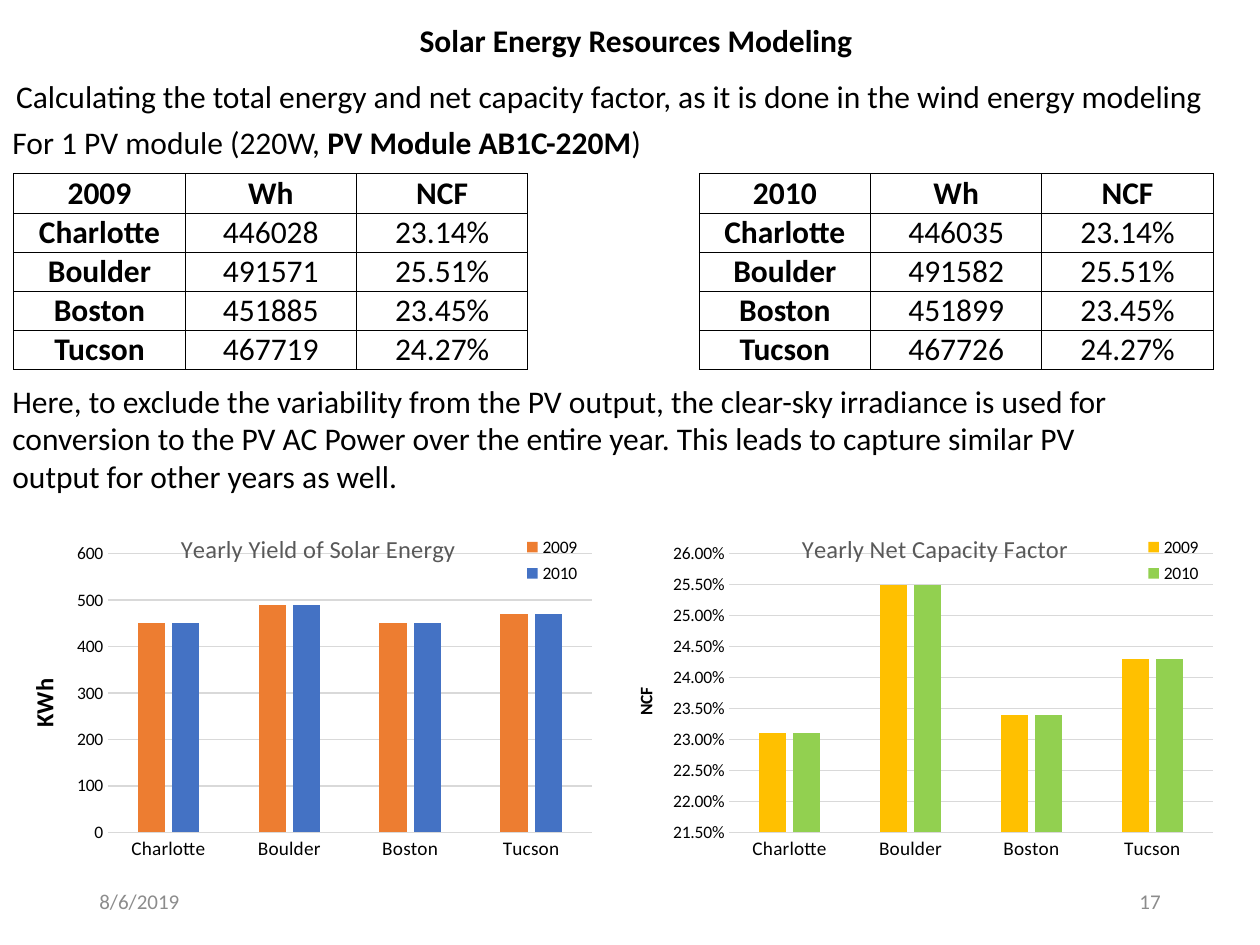
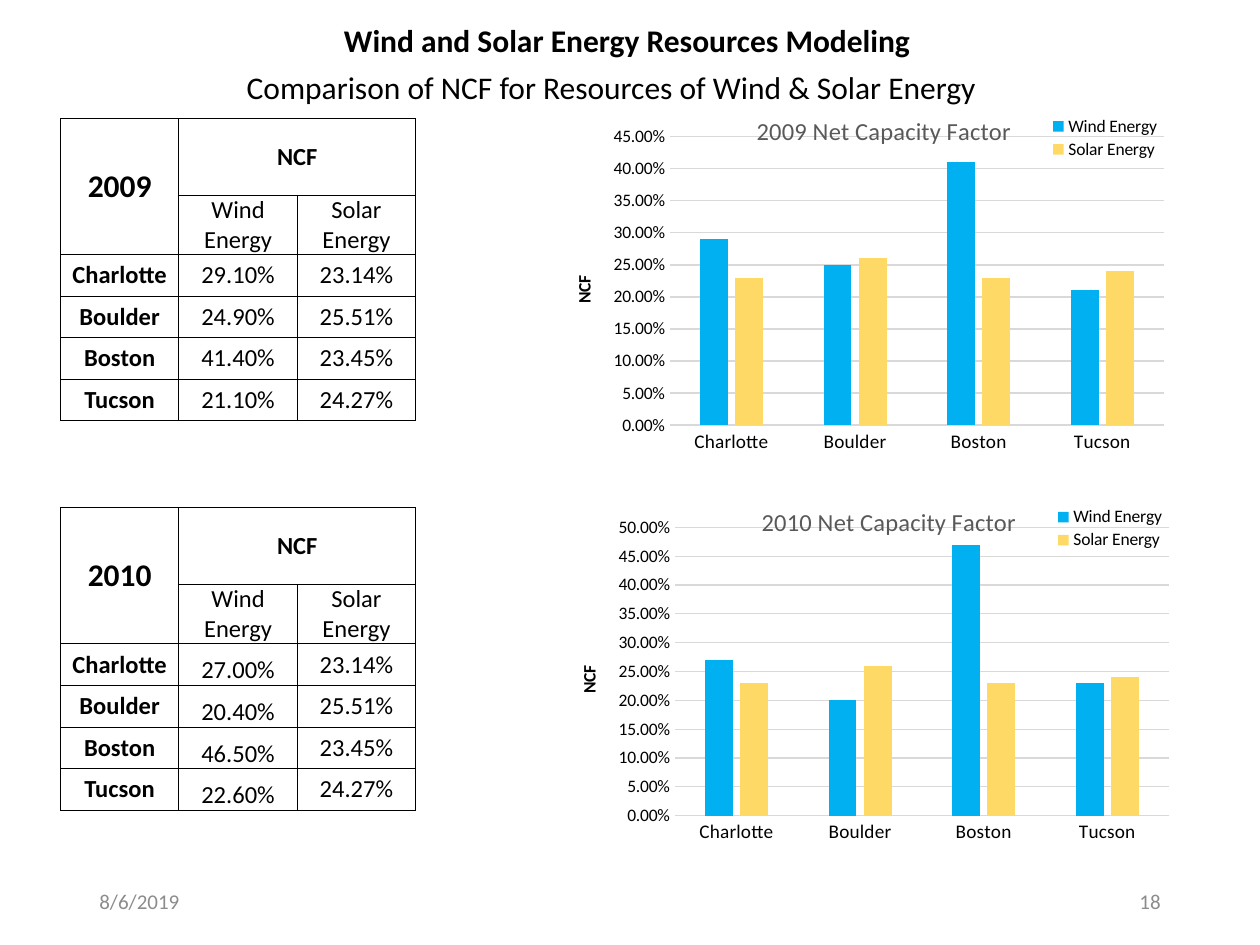
import pptx
import pptx.util
import pptx.chart.data
import pptx.dml.color
import pptx.enum.chart
import pptx.enum.text
import pptx.oxml

Inches = pptx.util.Inches
Pt = pptx.util.Pt
ALIGN = pptx.enum.text.PP_ALIGN
ANCHOR = pptx.enum.text.MSO_ANCHOR
NONE = pptx.enum.chart.XL_TICK_MARK.NONE
SPACE = pptx.oxml.ns.nsdecls("a", "c")
FONT = "Calibri"
HUES = {
    "text": "000000", "foot": "8C8C8C", "head": "595959", "grid": "D9D9D9",
    "orange": "ED7D31", "blue": "4472C4", "gold": "FFC000", "green": "92D050",
    "sky": "00B0F0", "sand": "FFD966",
}
RGB = {name: pptx.dml.color.RGBColor.from_string(code) for name, code in HUES.items()}


def write(frame, runs, size=18, hue="text", align=ALIGN.LEFT):
    para = frame.paragraphs[0]
    para.alignment = align
    for text, bold in runs:
        run = para.add_run()
        run.text = text
        run.font.name = FONT
        run.font.size = Pt(size)
        run.font.bold = bold
        run.font.color.rgb = RGB[hue]


def place(part, index, spots, inner=False):
    for old in part.findall(pptx.oxml.ns.qn("c:layout")):
        part.remove(old)
    target = '<c:layoutTarget val="inner"/>' if inner else ""
    modes = '<c:xMode val="edge"/><c:yMode val="edge"/>'
    sides = "".join(f'<c:{key} val="{val}"/>' for key, val in zip("xywh", spots))
    part.insert(index, pptx.oxml.parse_xml(
        f"<c:layout {SPACE}><c:manualLayout>{target}{modes}{sides}</c:manualLayout></c:layout>"))


cities = ["Charlotte", "Boulder", "Boston", "Tucson"]
energy = {"2009": [446028, 491571, 451885, 467719],
          "2010": [446035, 491582, 451899, 467726]}
solar = [0.2314, 0.2551, 0.2345, 0.2427]
wind = {"2009": [0.291, 0.249, 0.414, 0.211],
        "2010": [0.27, 0.204, 0.465, 0.226]}

yields = [["2009", "Wh", "NCF", "", "2010", "Wh", "NCF"]]
for city, old, new, share in zip(cities, energy["2009"], energy["2010"], solar):
    yields.append([city, str(old), f"{share:.2%}", "", city, str(new), f"{share:.2%}"])

grids = [dict(at=(0.11, 1.38), wide=1.36, rows=yields, highs=[0.31] * 5,
              size=18, gap=3, low=(2, 6))]
sheets = [
    dict(title=("Solar Energy Resources Modeling", 3.23, 3.66), page="17",
         notes=[
             (0.03, 0.56, 9.74, 0.4, False, [(
                 "Calculating the total energy and net capacity factor, "
                 "as it is done in the wind energy modeling", False)]),
             (0, 0.93, 5.42, 0.4, False, [
                 ("For 1 PV module (220W, ", False),
                 ("PV Module AB1C-220M", True), (")", False)]),
             (0, 2.98, 9.19, 1.01, True, [(
                 "Here, to exclude the variability from the PV output, the clear-sky "
                 "irradiance is used for conversion to the PV AC Power over the entire "
                 "year. This leads to capture similar PV output for other years as well.",
                 False)]),
         ],
         grids=grids,
         charts=[
             dict(at=(0.08, 4.07, 4.89, 2.9), title="Yearly Yield of Solar Energy",
                  left=0.27, unit=("KWh", 14, 0.02, 0.44), scale=(0, 600, 100), form="0",
                  key=(0.82, 0.05, 0.12, 0.16), digits=-1,
                  bars=[(year, [wh / 1000 for wh in energy[year]], hue)
                        for year, hue in (("2009", "orange"), ("2010", "blue"))]),
             dict(at=(5.01, 4.07, 4.89, 2.9), title="Yearly Net Capacity Factor",
                  left=0.27, unit=("NCF", 10, 0, 0.47), scale=(0.215, 0.26, 0.005),
                  form="0.00%", key=(0.82, 0.05, 0.12, 0.16), digits=3,
                  bars=[("2009", solar, "gold"), ("2010", solar, "green")]),
         ]),
    dict(title=("Wind and Solar Energy Resources Modeling", 2.63, 4.73), page="18",
         notes=[(1.86, 0.49, 6.27, 0.4, False, [
             ("Comparison of NCF for Resources of Wind & Solar Energy", False)])],
         grids=[], charts=[]),
]
for year, top, spot, peak, low in (
        ("2009", 0.94, (4.52, 0.75), 0.45, ()), ("2010", 4.03, (4.56, 3.85), 0.5, (1,))):
    rows = [[year, "NCF", ""], ["", "Wind Energy", "Solar Energy"]]
    for city, gust, sun in zip(cities, wind[year], solar):
        rows.append([city, f"{gust:.2%}", f"{sun:.2%}"])
    sheets[1]["grids"].append(dict(
        at=(0.48, top), wide=0.94, rows=rows, highs=[0.61, 0.47] + [0.33] * 4,
        size=14, gap=None, low=low))
    sheets[1]["charts"].append(dict(
        at=(*spot, 5, 3), title=f"{year} Net Capacity Factor", left=0.29,
        unit=("NCF", 10, 0, 0.47), scale=(0, peak, 0.05), form="0.00%",
        key=(0.75, 0.05, 0.2, 0.13), digits=2,
        bars=[("Wind Energy", wind[year], "sky"), ("Solar Energy", solar, "sand")]))

deck = pptx.Presentation()
deck.slide_width = Inches(10)
deck.slide_height = Inches(7.5)

for sheet in sheets:
    slide = deck.slides.add_slide(deck.slide_layouts[5])
    head = slide.shapes.title
    text, left, wide = sheet["title"]
    head.left, head.top, head.width, head.height = map(Inches, (left, 0.12, wide, 0.4))
    head.text_frame.auto_size = pptx.enum.text.MSO_AUTO_SIZE.NONE
    head.text_frame.word_wrap = False
    head.text_frame.vertical_anchor = ANCHOR.TOP
    write(head.text_frame, [(text, True)])

    for left, label, align in ((0.69, "8/6/2019", ALIGN.LEFT),
                               (7.06, sheet["page"], ALIGN.RIGHT)):
        foot = slide.shapes.add_textbox(*map(Inches, (left, 6.95, 2.25, 0.4))).text_frame
        foot.word_wrap = True
        foot.vertical_anchor = ANCHOR.MIDDLE
        write(foot, [(label, False)], 12, "foot", align)

    for *spot, wrap, runs in sheet["notes"]:
        note = slide.shapes.add_textbox(*map(Inches, spot)).text_frame
        note.word_wrap = wrap
        write(note, runs)

    for grid in sheet["grids"]:
        rows, highs = grid["rows"], grid["highs"]
        count = len(rows[0])
        table = slide.shapes.add_table(
            len(rows), count, *map(Inches, (*grid["at"], grid["wide"] * count, sum(highs)))).table
        table.first_row = table.horz_banding = False
        for col in table.columns:
            col.width = Inches(grid["wide"])
        for row, high in zip(table.rows, highs):
            row.height = Inches(high)
        merged = rows[1][0] == ""
        if merged:
            table.cell(0, 0).merge(table.cell(1, 0))
            table.cell(0, 1).merge(table.cell(0, 2))
        for r, row in enumerate(rows):
            for c, text in enumerate(row):
                cell = table.cell(r, c)
                cell.margin_left = cell.margin_right = cell.margin_top = cell.margin_bottom = 0
                first = 2 if merged else 1
                low = r >= first and c in grid["low"]
                cell.vertical_anchor = ANCHOR.BOTTOM if low else ANCHOR.MIDDLE
                for side in "LRTB":
                    bare = c == grid["gap"] and side in "TB"
                    ink = ("<a:noFill/>" if bare else
                           f'<a:solidFill><a:srgbClr val="{HUES["text"]}"/></a:solidFill>')
                    cell._tc.get_or_add_tcPr().append(pptx.oxml.parse_xml(
                        f'<a:ln{side} {SPACE} w="6350">{ink}</a:ln{side}>'))
                cell.fill.background()
                if text:
                    bold = r == 0 or text in cities
                    size = 18 if (r, c) == (0, 0) else grid["size"]
                    write(cell.text_frame, [(text, bold)], size, align=ALIGN.CENTER)

    for plan in sheet["charts"]:
        data = pptx.chart.data.CategoryChartData(number_format=plan["form"])
        data.categories = cities
        for name, values, hue in plan["bars"]:
            data.add_series(name, [round(value, plan["digits"]) for value in values])
        chart = slide.shapes.add_chart(
            pptx.enum.chart.XL_CHART_TYPE.COLUMN_CLUSTERED,
            *map(Inches, plan["at"]), data).chart
        chart.font.name = FONT
        chart.font.size = Pt(10)
        chart.font.color.rgb = RGB["text"]

        write(chart.chart_title.text_frame, [(plan["title"], False)], 14, "head", ALIGN.CENTER)
        title = chart.chart_title._element
        place(title, 1, (plan["left"], 0.04))
        title.find(pptx.oxml.ns.qn("c:overlay")).set("val", "1")
        place(chart._chartSpace.chart.plotArea, 0, (0.16, 0.11, 0.78, 0.77), True)
        place(chart._chartSpace.chart.plotArea, 0, (0.159, 0.112, 0.785, 0.763), True)

        chart.has_legend = True
        chart.legend.position = pptx.enum.chart.XL_LEGEND_POSITION.RIGHT
        chart.legend.include_in_layout = False
        place(chart.legend._element, 1, plan["key"])

        plot = chart.plots[0]
        plot.gap_width = 219
        plot.overlap = -27
        plot.vary_by_categories = False
        for bar, (name, values, hue) in zip(plot.series, plan["bars"]):
            bar.format.fill.solid()
            bar.format.fill.fore_color.rgb = RGB[hue]

        base, axis = chart.category_axis, chart.value_axis
        for each, size in ((base, 11), (axis, 10)):
            each.major_tick_mark = each.minor_tick_mark = NONE
            each.tick_labels.font.name = FONT
            each.tick_labels.font.size = Pt(size)
            each.tick_labels.font.color.rgb = RGB["text"]
        axis.format.line.fill.background()
        for line in (base.format.line, axis.major_gridlines.format.line):
            line.color.rgb = RGB["grid"]
            line.width = Pt(0.75)
        axis.minimum_scale, axis.maximum_scale, axis.major_unit = plan["scale"]
        axis.tick_labels.number_format = plan["form"]
        axis.tick_labels.number_format_is_linked = False
        unit, size, *spot = plan["unit"]
        write(axis.axis_title.text_frame, [(unit, True)], size, align=ALIGN.CENTER)
        axis.axis_title.text_frame._txBody.bodyPr.set("rot", "-5400000")
        place(axis.axis_title._element, 1, spot)

deck.save("out.pptx")
